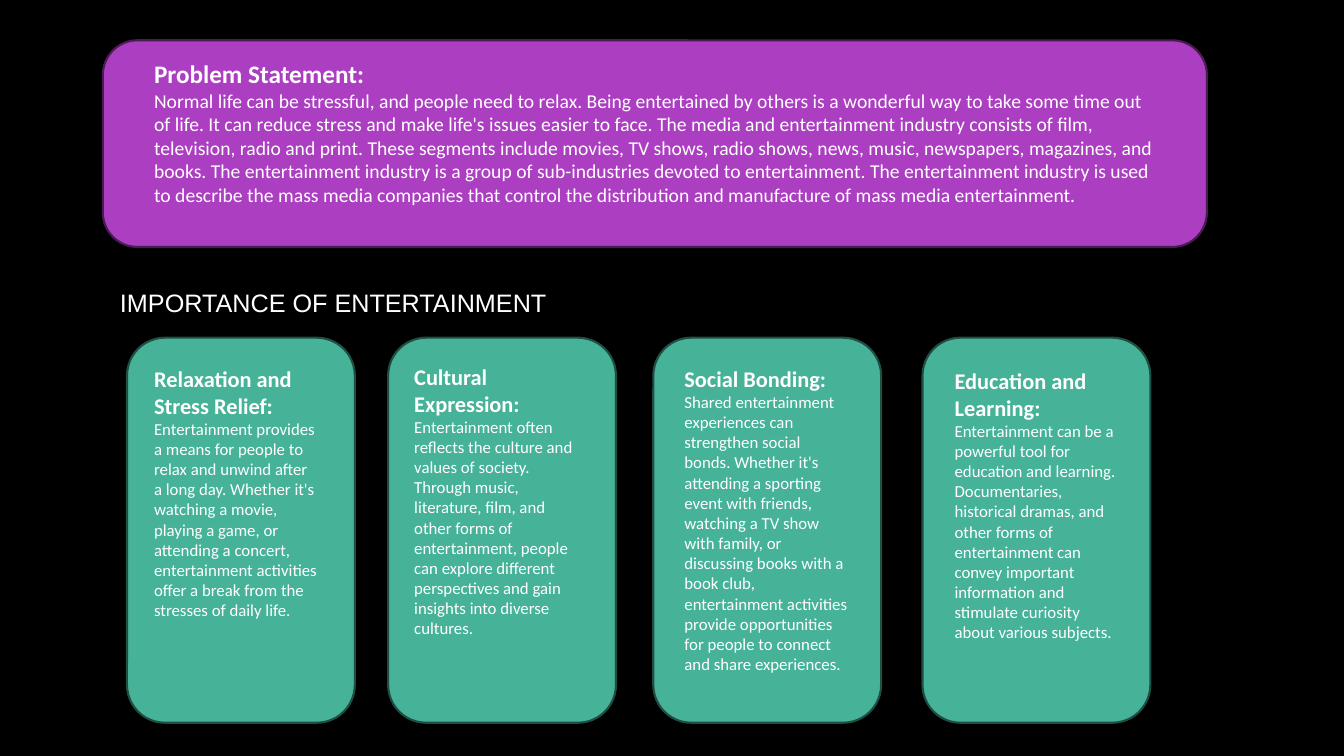
from typing import NamedTuple

from pptx import Presentation
from pptx.dml.color import RGBColor
from pptx.enum.shapes import MSO_SHAPE as Preset
from pptx.enum.text import MSO_ANCHOR as Anchor, MSO_AUTO_SIZE as AutoSize, PP_ALIGN as Align
from pptx.util import Inches, Pt

COLOURS = {
    "background": "000000",
    "text": "FFFFFF",
    "problem": "AC3EC1",
    "problem_line": "4B1B55",
    "benefit": "46B298",
    "benefit_line": "1F4E43",
}
CARD_TOP, CARD_WIDTH, CARD_HEIGHT = 3.35, 2.26, 3.82
CARD_TEXT_WIDTH = 1.83


class Box(NamedTuple):
    left: float
    top: float
    width: float
    height: float


class Benefit(NamedTuple):
    card_left: float
    text_left: float
    text_top: float
    text_height: float
    heading: str
    body: str


PROBLEM = (
    "Normal life can be stressful, and people need to relax. Being entertained by others is a "
    "wonderful way to take some time out of life. It can reduce stress and make life's issues "
    "easier to face. The media and entertainment industry consists of film, television, radio "
    "and print. These segments include movies, TV shows, radio shows, news, music, newspapers, "
    "magazines, and books. The entertainment industry is a group of sub-industries devoted to "
    "entertainment. The entertainment industry is used to describe the mass media companies "
    "that control the distribution and manufacture of mass media entertainment."
)
BENEFITS = [
    Benefit(1.26, 1.43, 3.57, 2.96, "Relaxation and Stress Relief: ",
            "Entertainment provides a means for people to relax and unwind after a long day. "
            "Whether it's watching a movie, playing a game, or attending a concert, "
            "entertainment activities offer a break from the stresses of daily life."),
    Benefit(3.85, 4.01, 3.55, 3.16, "Cultural Expression: ",
            "Entertainment often reflects the culture and values of society. Through music, "
            "literature, film, and other forms of entertainment, people can explore different "
            "perspectives and gain insights into diverse cultures."),
    Benefit(6.48, 6.69, 3.57, 3.5, "Social Bonding: ",
            "Shared entertainment experiences can strengthen social bonds. Whether it's "
            "attending a sporting event with friends, watching a TV show with family, or "
            "discussing books with a book club, entertainment activities provide opportunities "
            "for people to connect and share experiences."),
    Benefit(9.15, 9.37, 3.59, 3.16, "Education and Learning: ",
            "Entertainment can be a powerful tool for education and learning. Documentaries, "
            "historical dramas, and other forms of entertainment can convey important "
            "information and stimulate curiosity about various subjects."),
]


def rgb(name: str) -> RGBColor:
    return RGBColor.from_string(COLOURS[name])


def add_panel(slide, box: Box, colour: str) -> None:
    panel = slide.shapes.add_shape(Preset.ROUNDED_RECTANGLE, *map(Inches, box))
    panel.shadow.inherit = False
    panel.fill.solid()
    panel.fill.fore_color.rgb = rgb(colour)
    panel.line.color.rgb = rgb(f"{colour}_line")
    panel.line.width = Pt(1.5)


def add_text_frame(slide, box: Box):
    return prepare_frame(slide.shapes.add_textbox(*map(Inches, box)).text_frame)


def prepare_frame(frame):
    """Wrap the text from the top left and let its shape grow."""
    frame.word_wrap = True
    frame.auto_size = AutoSize.SHAPE_TO_FIT_TEXT
    frame.vertical_anchor = Anchor.TOP
    frame.paragraphs[0].alignment = Align.LEFT
    return frame


def write(paragraph, text: str, *, size: float, bold: bool = False, font: str = "Calibri") -> None:
    run = paragraph.add_run()
    run.text = text
    run.font.name = font
    run.font.size = Pt(size)
    run.font.bold = bold
    run.font.color.rgb = rgb("text")


def add_problem(slide) -> None:
    add_panel(slide, Box(1.02, 0.4, 10.95, 2.05), "problem")
    frame = add_text_frame(slide, Box(1.43, 0.53, 10.17, 1.82))
    write(frame.paragraphs[0], "Problem Statement:", size=18, bold=True)
    write(frame.add_paragraph(), PROBLEM, size=14)


def add_title(slide) -> None:
    title = slide.shapes.title
    title.left, title.top, title.width, title.height = map(Inches, Box(1.09, 2.8, 4.75, 0.4))
    frame = prepare_frame(title.text_frame)
    write(frame.paragraphs[0], "IMPORTANCE OF ENTERTAINMENT", size=18, font="Arial")


def add_benefit(slide, benefit: Benefit) -> None:
    add_panel(slide, Box(benefit.card_left, CARD_TOP, CARD_WIDTH, CARD_HEIGHT), "benefit")
    text_box = Box(benefit.text_left, benefit.text_top, CARD_TEXT_WIDTH, benefit.text_height)
    paragraph = add_text_frame(slide, text_box).paragraphs[0]
    write(paragraph, benefit.heading, size=16, bold=True)
    write(paragraph, benefit.body, size=12)


def main() -> None:
    presentation = Presentation()
    presentation.slide_width, presentation.slide_height = Inches(13.33), Inches(7.5)
    slide = presentation.slides.add_slide(presentation.slide_layouts[5])
    slide.background.fill.solid()
    slide.background.fill.fore_color.rgb = rgb("background")

    add_problem(slide)
    add_title(slide)
    for benefit in BENEFITS:
        add_benefit(slide, benefit)
    presentation.save("out.pptx")


if __name__ == "__main__":
    main()
